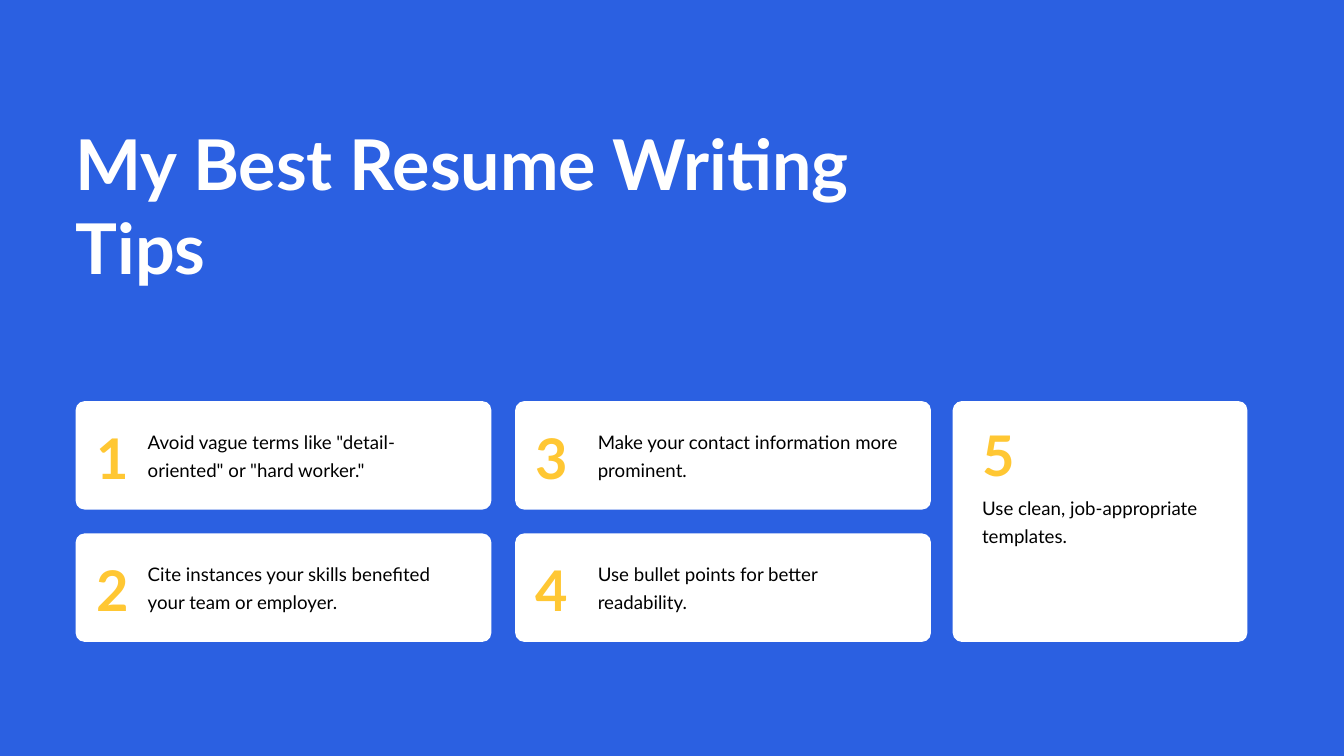
from pptx import Presentation
from pptx.dml.color import RGBColor
from pptx.enum.shapes import MSO_SHAPE as Shape
from pptx.enum.text import MSO_ANCHOR as Anchor, MSO_AUTO_SIZE as Fit, PP_ALIGN as Align
from pptx.util import Pt

PX = 9525  # EMU in one px, 96 px to the inch

BLUE = RGBColor(0x2B, 0x60, 0xE1)
WHITE = RGBColor(0xFF, 0xFF, 0xFF)
BLACK = RGBColor(0x00, 0x00, 0x00)
GOLD = RGBColor(0xFF, 0xC7, 0x33)

FRAME = dict(margin_left=0, margin_top=0, margin_right=0, margin_bottom=0,
             word_wrap=True, auto_size=Fit.NONE, vertical_anchor=Anchor.TOP)
HEAD = dict(size=Pt(75), bold=True, color=WHITE, lead=Pt(90))
DIGIT = dict(size=Pt(60), bold=True, color=GOLD, lead=Pt(72))
BODY = dict(size=Pt(20), bold=False, color=BLACK, lead=Pt(30))

LEFT, TOP = 108, 573
CARD_W, CARD_H = 594, 155
STEP_X, STEP_Y = 628, 189
RADIUS = 13
# Left inset of the tip text in each column of wide cards
INSETS = (103, 118)
TIPS = (
    ('Avoid vague terms like "detail-oriented" or "hard worker."',
     "Cite instances your skills benefited your team or employer."),
    ("Make your contact information more prominent.",
     "Use bullet points for better readability."),
)


def emu(*box):
    return [n * PX for n in box]


def write(shape, text, style, align=Align.LEFT):
    frame = shape.text_frame
    for key, value in FRAME.items():
        setattr(frame, key, value)
    para = frame.paragraphs[0]
    para.alignment = align
    para.line_spacing = style["lead"]
    run = para.add_run()
    run.text = text
    run.font.name = "Lato"
    run.font.size = style["size"]
    run.font.bold = style["bold"]
    run.font.color.rgb = style["color"]


def label(slide, box, text, style, align=Align.LEFT):
    write(slide.shapes.add_textbox(*emu(*box)), text, style, align)


def panel(slide, x, y, w, h):
    card = slide.shapes.add_shape(Shape.ROUNDED_RECTANGLE, *emu(x, y, w, h))
    card.adjustments[0] = RADIUS / min(w, h)
    card.shadow.inherit = False
    card.fill.solid()
    card.fill.fore_color.rgb = WHITE
    card.line.fill.background()


def title(slide, x, y, w, h):
    head = slide.shapes.title
    head.left, head.top, head.width, head.height = emu(x, y, w, h)
    write(head, "My Best Resume Writing Tips", HEAD)


def wide_card(slide, x, y, w, h, number, text, inset):
    """Number on the left, tip beside it."""
    panel(slide, x, y, w, h)
    label(slide, (x + 18, y + 32, 69, 97), str(number), DIGIT, Align.CENTER)
    label(slide, (x + inset, y + 34, w - inset - 29, 80), text, BODY)


def tall_card(slide, x, y, w, h, number, text):
    """Number on top, tip below it."""
    panel(slide, x, y, w, h)
    label(slide, (x + 42, y + 28, 69, 97), str(number), DIGIT)
    label(slide, (x + 42, y + 129, w - 78, 80), text, BODY)


def main():
    deck = Presentation()
    deck.slide_width, deck.slide_height = emu(1920, 1080)
    slide = deck.slides.add_slide(deck.slide_layouts[5])
    slide.background.fill.solid()
    slide.background.fill.fore_color.rgb = BLUE

    title(slide, LEFT, 172, 1223, 242)
    for col, (tips, inset) in enumerate(zip(TIPS, INSETS)):
        for row, tip in enumerate(tips):
            wide_card(slide, LEFT + col * STEP_X, TOP + row * STEP_Y,
                      CARD_W, CARD_H, col * 2 + row + 1, tip, inset)
    tall_card(slide, 1361, TOP, 421, STEP_Y + CARD_H, 5,
              "Use clean, job-appropriate templates.")
    deck.save("out.pptx")


if __name__ == "__main__":
    main()
